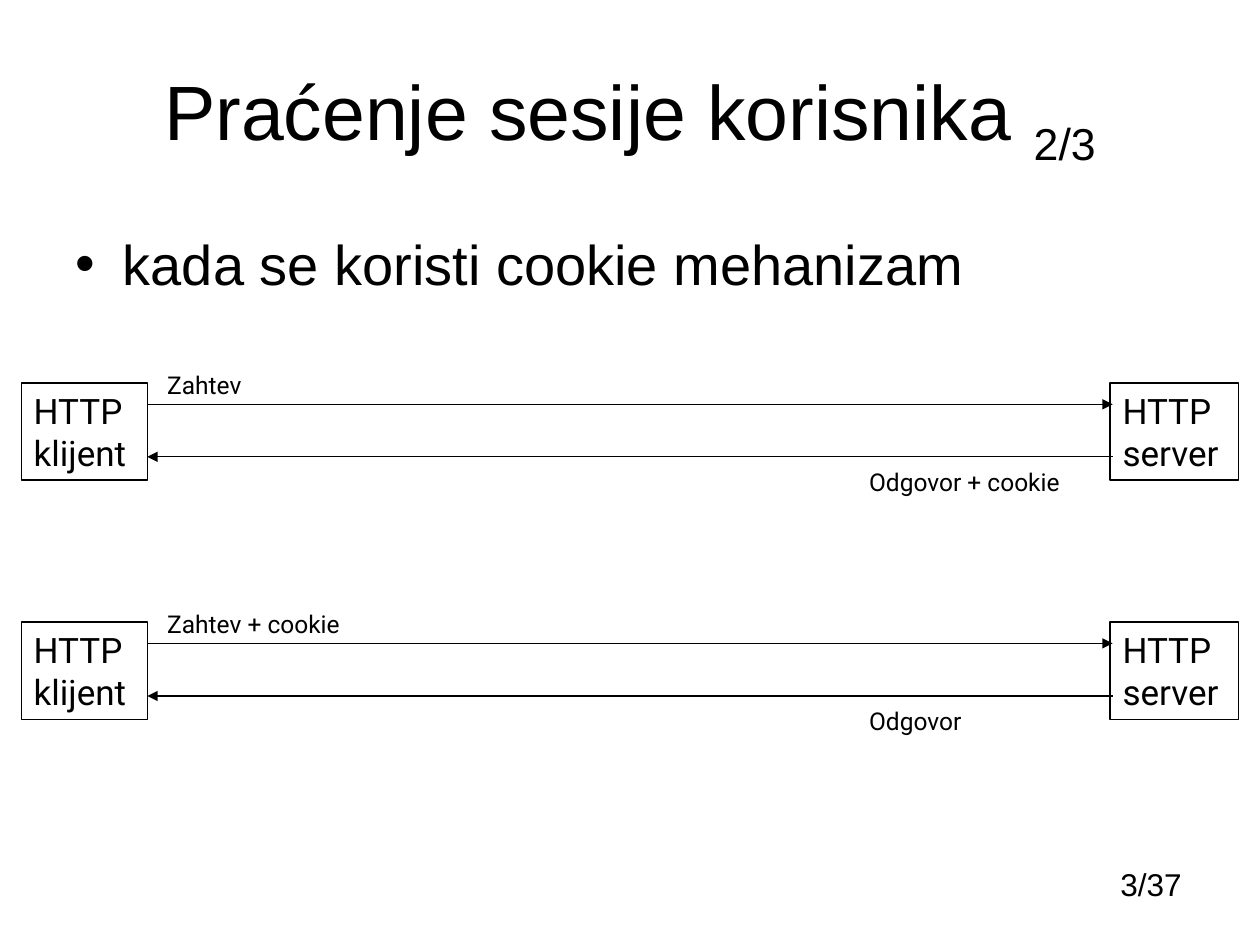
"""Builds a slide on session tracking with cookies between an HTTP client and server."""
from dataclasses import dataclass

from pptx import Presentation, util as u
from pptx.dml.color import RGBColor
from pptx.enum import shapes, text
from pptx.oxml.ns import qn
from lxml import etree

BLACK = "000000"
CLIENT_LEFT, CLIENT_WIDTH = 0.43, 2.54
SERVER_LEFT, SERVER_WIDTH = 22.38, 2.59
PARTY_HEIGHT = 1.96
CLIENT_EDGE, SERVER_EDGE = 2.97, 22.43


@dataclass(frozen=True)
class Box:
    left: float
    top: float
    width: float
    height: float

    def lengths(self) -> tuple:
        return tuple(u.Cm(side) for side in (self.left, self.top, self.width, self.height))


@dataclass(frozen=True)
class Exchange:
    top: float
    request: str
    request_width: float
    reply: str
    reply_width: float


EXCHANGES = (
    Exchange(7.72, "Zahtev", 2.08, "Odgovor + cookie", 4.6),
    Exchange(12.54, "Zahtev + cookie", 4.14, "Odgovor", 2.57),
)


def colour(value: str) -> RGBColor:
    return RGBColor.from_string(value)


def style(font, size: float, face: str) -> None:
    font.size, font.name = u.Pt(size), face
    font.color.rgb = colour(BLACK)


def write(frame, words: str, size: float, face: str, align=text.PP_ALIGN.LEFT, wrap: bool = False) -> None:
    frame.text = words
    frame.word_wrap = wrap
    frame.vertical_anchor = text.MSO_ANCHOR.TOP
    for paragraph in frame.paragraphs:
        paragraph.alignment = align
        for run in paragraph.runs:
            style(run.font, size, face)


def add_label(slide, box: Box, words: str) -> None:
    label = slide.shapes.add_textbox(*box.lengths())
    write(label.text_frame, words, 14, "Roboto")


def add_party(slide, box: Box, words: str, wrap: bool) -> None:
    party = slide.shapes.add_shape(shapes.MSO_SHAPE.RECTANGLE, *box.lengths())
    party.shadow.inherit = False
    party.fill.background()
    party.line.color.rgb = colour(BLACK)
    party.line.width = u.Pt(0.75)
    write(party.text_frame, words, 20, "Roboto", wrap=wrap)


def add_arrow(slide, start: float, end: float, height: float) -> None:
    arrow = slide.shapes.add_connector(
        shapes.MSO_CONNECTOR.STRAIGHT, u.Cm(start), u.Cm(height), u.Cm(end), u.Cm(height))
    arrow.line.color.rgb = colour(BLACK)
    arrow.line.width = u.Pt(0.75)
    etree.SubElement(arrow.line._get_or_add_ln(), qn("a:tailEnd"), type="triangle")
    etree.SubElement(arrow._element.spPr, qn("a:effectLst"))


def add_exchange(slide, exchange: Exchange) -> None:
    top = exchange.top
    add_party(slide, Box(CLIENT_LEFT, top, CLIENT_WIDTH, PARTY_HEIGHT), "HTTP\nklijent", True)
    add_party(slide, Box(SERVER_LEFT, top, SERVER_WIDTH, PARTY_HEIGHT), "HTTP\nserver", False)
    add_arrow(slide, CLIENT_EDGE, SERVER_EDGE, top + 0.43)
    add_arrow(slide, SERVER_EDGE, CLIENT_EDGE, top + 1.49)
    add_label(slide, Box(3.12, top - 0.39, exchange.request_width, 0.86), exchange.request)
    add_label(slide, Box(17.27, top + 1.56, exchange.reply_width, 0.86), exchange.reply)


def place(placeholder, box: Box) -> None:
    placeholder.left, placeholder.top, placeholder.width, placeholder.height = box.lengths()
    placeholder.text_frame.auto_size = text.MSO_AUTO_SIZE.NONE


def fill_title(title) -> None:
    place(title, Box(1.27, 0.76, 22.86, 3.18))
    title.text_frame.vertical_anchor = text.MSO_ANCHOR.MIDDLE
    heading = title.text_frame.paragraphs[0]
    heading.text = "Praćenje sesije korisnika "
    heading.alignment = text.PP_ALIGN.CENTER
    part_number = heading.add_run()
    part_number.text = "2/3"
    for run in heading.runs:
        style(run.font, 44, "Arial")
    part_number._r.get_or_add_rPr().set("baseline", "-25000")


def fill_body(body) -> None:
    place(body, Box(1.27, 4.5, 22.86, 2))
    write(body.text_frame, "kada se koristi cookie mehanizam", 32, "Arial", wrap=True)
    topic = body.text_frame.paragraphs[0]
    topic.space_before = u.Pt(0)
    properties = topic._p.get_or_add_pPr()
    properties.set("marL", str(u.Cm(0.95)))
    properties.set("indent", str(-u.Cm(0.95)))
    bullet_colour = etree.SubElement(properties, qn("a:buClr"))
    etree.SubElement(bullet_colour, qn("a:srgbClr"), val=BLACK)
    etree.SubElement(properties, qn("a:buFont"), typeface="Arial")
    etree.SubElement(properties, qn("a:buChar"), char="•")


def main() -> None:
    deck = Presentation()
    deck.slide_width, deck.slide_height = u.Cm(25.4), u.Cm(19.05)
    slide = deck.slides.add_slide(deck.slide_layouts[1])
    fill_title(slide.shapes.title)
    fill_body(slide.placeholders[1])
    for exchange in EXCHANGES:
        add_exchange(slide, exchange)
    page_number = slide.shapes.add_textbox(*Box(18.69, 17.32, 5.38, 1.02).lengths())
    write(page_number.text_frame, "3/37", 18, "Arial", text.PP_ALIGN.RIGHT, wrap=True)
    deck.save("out.pptx")


if __name__ == "__main__":
    main()
